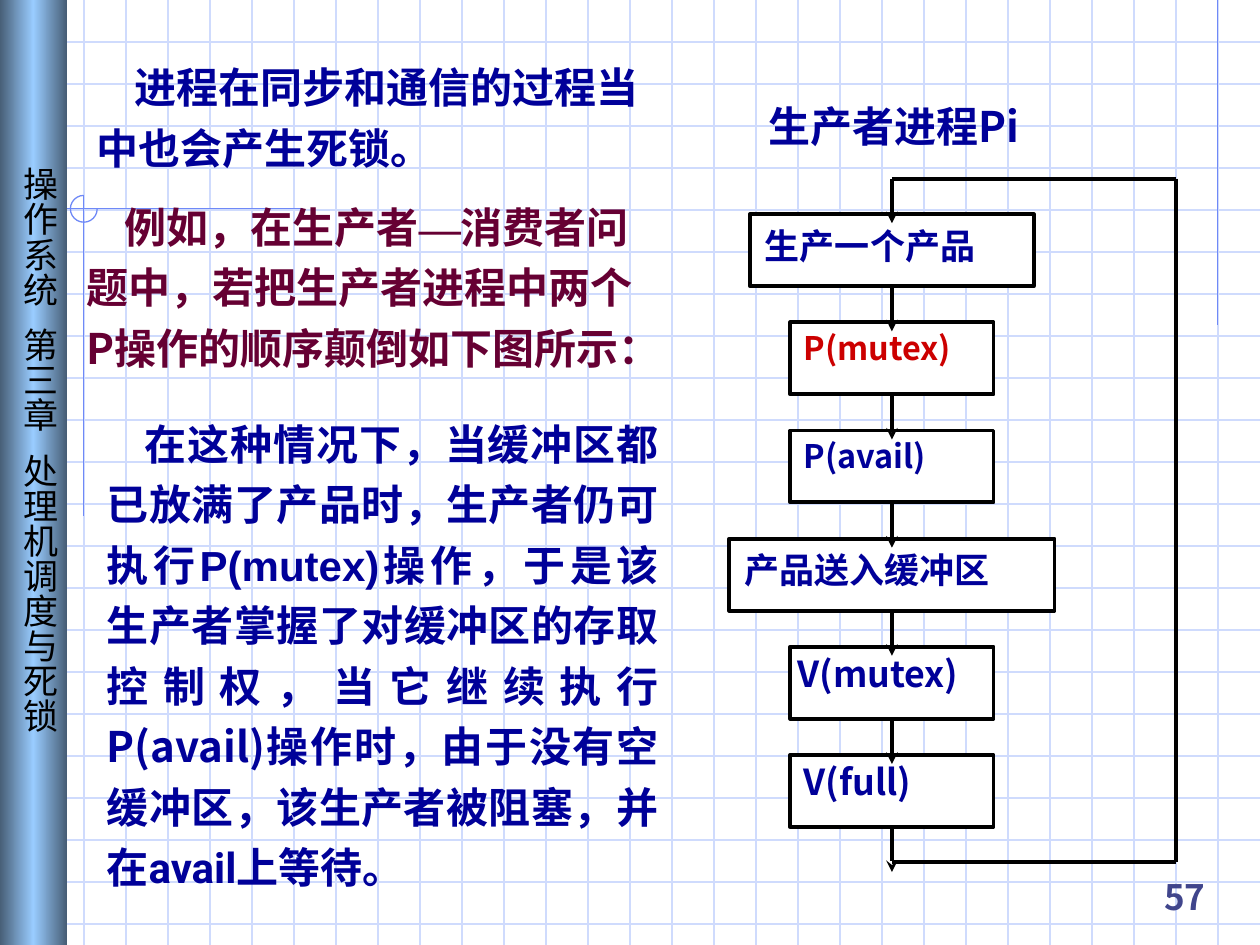
from copy import deepcopy

from pptx import Presentation
from pptx.dml.color import RGBColor
from pptx.enum.shapes import MSO_CONNECTOR, MSO_SHAPE
from pptx.enum.text import MSO_ANCHOR, PP_ALIGN
from pptx.oxml.ns import qn
from pptx.util import Cm, Pt

COLORS = {
    "grid": "CFDBFD", "accent": "6F89F7", "edge": "475E76", "glow": "99CCFF",
    "navy": "000099", "wine": "660033", "red": "CC0000", "number": "40458C",
    "black": "000000", "white": "FFFFFF",
}
FONT = "Noto Sans CJK SC"
WIDTH, HEIGHT = 25.4, 19.05
GRID_STEP = WIDTH / 30


def color(name):
    return RGBColor.from_string(COLORS[name])


def apply(target, values):
    for name, value in values.items():
        setattr(target, name, value)


class Slide:
    def __init__(self, page):
        self.page = page
        self.font = {"name": FONT, "size": Pt(24), "bold": True}

    def line(self, start, end, tone="black", width=2.25, arrow=False):
        points = [Cm(value) for value in (*start, *end)]
        connector = self.page.shapes.add_connector(MSO_CONNECTOR.STRAIGHT, *points)
        connector.line.color.rgb = color(tone)
        connector.line.width = Pt(width)
        properties = connector._element.spPr
        if arrow:
            tail = properties.makeelement(qn("a:tailEnd"), {"type": "stealth"})
            properties.find(qn("a:ln")).append(tail)
        properties.append(properties.makeelement(qn("a:effectLst"), {}))

    def shape(self, kind, place, fill=None, outline=None, width=2.25):
        box = self.page.shapes.add_shape(kind, *[Cm(value) for value in place])
        box.shadow.inherit = False
        if fill:
            box.fill.solid()
            box.fill.fore_color.rgb = color(fill)
        else:
            box.fill.background()
        if outline:
            box.line.color.rgb = color(outline)
            box.line.width = Pt(width)
        else:
            box.line.fill.background()
        return box

    def fill_text(self, box, spans, indent=0, insets=(0.25, 0.13, 0.25, 0.13),
                  anchor=MSO_ANCHOR.TOP, **layout):
        frame = box.text_frame
        sides = ("margin_left", "margin_top", "margin_right", "margin_bottom")
        apply(frame, dict(zip(sides, map(Cm, insets))))
        apply(frame, {"word_wrap": True, "vertical_anchor": anchor})
        para = frame.paragraphs[0]
        apply(para, {"alignment": PP_ALIGN.LEFT, **layout})
        properties = para._p.get_or_add_pPr()
        properties.set("marL", "0")
        properties.set("indent", str(Cm(indent)))
        for text, tone, values in spans:
            span = para.add_run()
            span.text = text
            apply(span.font, {**self.font, **values})
            span.font.color.rgb = color(tone)
            face = "Times New Roman" if text == "—" else FONT
            latin = span.font._element.find(qn("a:latin"))
            latin.addnext(latin.makeelement(qn("a:ea"), {"typeface": face}))
        return para

    def text(self, place, spans, **layout):
        box = self.page.shapes.add_textbox(*[Cm(value) for value in place])
        self.fill_text(box, spans, **layout)

    def step(self, center, top, width, spans, indent, spacing):
        box = self.shape(MSO_SHAPE.RECTANGLE, (center - width / 2, top, width, 1.45),
                         "white", "black")
        self.fill_text(box, spans, indent, (0, 0.2, 0, 0),
                       alignment=PP_ALIGN.JUSTIFY, line_spacing=spacing)

    def sidebar(self, text, indent, stops):
        box = self.shape(MSO_SHAPE.RECTANGLE, (0, 0, 1.35, HEIGHT))
        box.fill.gradient()
        box.fill.gradient_angle = 0
        stop_list = box.fill.gradient_stops[0]._gs.getparent()
        stop_list.insert(1, deepcopy(stop_list[0]))
        for stop, (position, tone) in zip(
                box.fill.gradient_stops, ((0, "edge"), (0.5, "glow"), (1, "edge"))):
            stop.position = position
            stop.color.rgb = color(tone)
        para = self.fill_text(box, [(text, "black", {"size": Pt(20), "bold": False})],
                              indent, (0.13, 0.25, 0.13, 0.25))
        box.text_frame._txBody.bodyPr.set("vert", "eaVert")
        properties = para._p.pPr
        tabs = properties.makeelement(qn("a:tabLst"), {})
        for stop in stops:
            tabs.append(tabs.makeelement(qn("a:tab"), {"pos": str(Cm(stop)), "algn": "l"}))
        properties.append(tabs)


def draw_background(slide):
    for row in range(1, 23):
        slide.line((0, row * GRID_STEP), (WIDTH, row * GRID_STEP), "grid", 0.75)
    for column in range(1, 30):
        slide.line((column * GRID_STEP, 0), (column * GRID_STEP, HEIGHT), "grid", 0.75)
    for start, end in (((24.55, 0), (24.55, 6.55)), ((6.1, 4.2), (1.15, 4.2)),
                       ((1.69, 3.94), (1.69, 10.4))):
        slide.line(start, end, "accent", 0.75)
    arc = slide.shape(MSO_SHAPE.ARC, (1.42, 3.94, 0.54, 0.54), None, "accent", 0.75)
    arc.adjustments[0], arc.adjustments[1] = 0, 162
    slide.sidebar("操作系统\t第三章\t处理机调度与死锁", 3.12, (8.02, 10.48))


def draw_flow(slide):
    center, right, top, pitch = 17.98, 23.7, 3.6, 2.18
    small, large = {"size": Pt(18.5)}, {"size": Pt(20.4)}
    steps = (
        ("生产一个产品", 5.72, "navy", {"size": Pt(20)}, 0.3, 1.0),
        ("P(mutex)", 4.1, "red", small, 0.27, 0.9),
        ("P(avail)", 4.1, "navy", small, 0.27, 0.9),
        ("产品送入缓冲区", 6.56, "navy", {"size": Pt(20)}, 0.3, 1.0),
        ("V(mutex)", 4.1, "navy", large, 0.15, 0.9),
        ("V(full)", 4.1, "navy", large, 0.27, 0.9),
    )
    for index, (text, width, tone, values, indent, spacing) in enumerate(steps):
        slide.step(center, top + 0.72 + index * pitch, width,
                   [(text, tone, values)], indent, spacing)
    for index in range(len(steps) + 1):
        start = top + index * pitch
        slide.line((center, start), (center, start + 0.9), arrow=True)
    bottom = 17.38
    slide.line((center, top), (right, top))
    slide.line((center, bottom), (right, bottom))
    slide.line((right, top), (right, bottom))


def main():
    deck = Presentation()
    apply(deck, {"slide_width": Cm(WIDTH), "slide_height": Cm(HEIGHT)})
    slide = Slide(deck.slides.add_slide(deck.slide_layouts[6]))
    body = {"indent": 0.77, "line_spacing": 1.2}
    draw_background(slide)
    slide.text((22.43, 17.35, 2.12, 1.27), [("57", "number", {"size": Pt(20)})],
               anchor=MSO_ANCHOR.BOTTOM, alignment=PP_ALIGN.RIGHT)
    slide.text((1.7, 0.91, 12.07, 2.69),
               [("进程在同步和通信的过程当中也会产生死锁。", "navy", {})], **body)
    slide.text((1.5, 3.73, 12.07, 5.13), [
        ("例如，在生产者", "wine", {}),
        ("—", "wine", {"name": "Times New Roman"}),
        ("消费者问题中，若把生产者进程中两个P操作的顺序颠倒如下图所示：", "wine", {}),
    ], **body)
    slide.text((15.24, 1.9, 6.15, 1.27), [("生产者进程Pi", "navy", {})])
    draw_flow(slide)
    slide.text((1.9, 8.1, 11.63, 10.01), [
        ("在这种情况下，当缓冲区都已放满了产品时，生产者仍可执行", "navy", {}),
        ("P(mutex)", "navy", {"name": "Arial"}),
        ("操作，于是该生产者掌握了对缓冲区的存取控制权，当它继续执行P(avail)操作时，"
         "由于没有空缓冲区，该生产者被阻塞，并", "navy", {}),
        ("在avail上等待。", "navy", {"name": "Roboto"}),
    ], alignment=PP_ALIGN.JUSTIFY, **body)
    deck.save("out.pptx")


if __name__ == "__main__":
    main()
